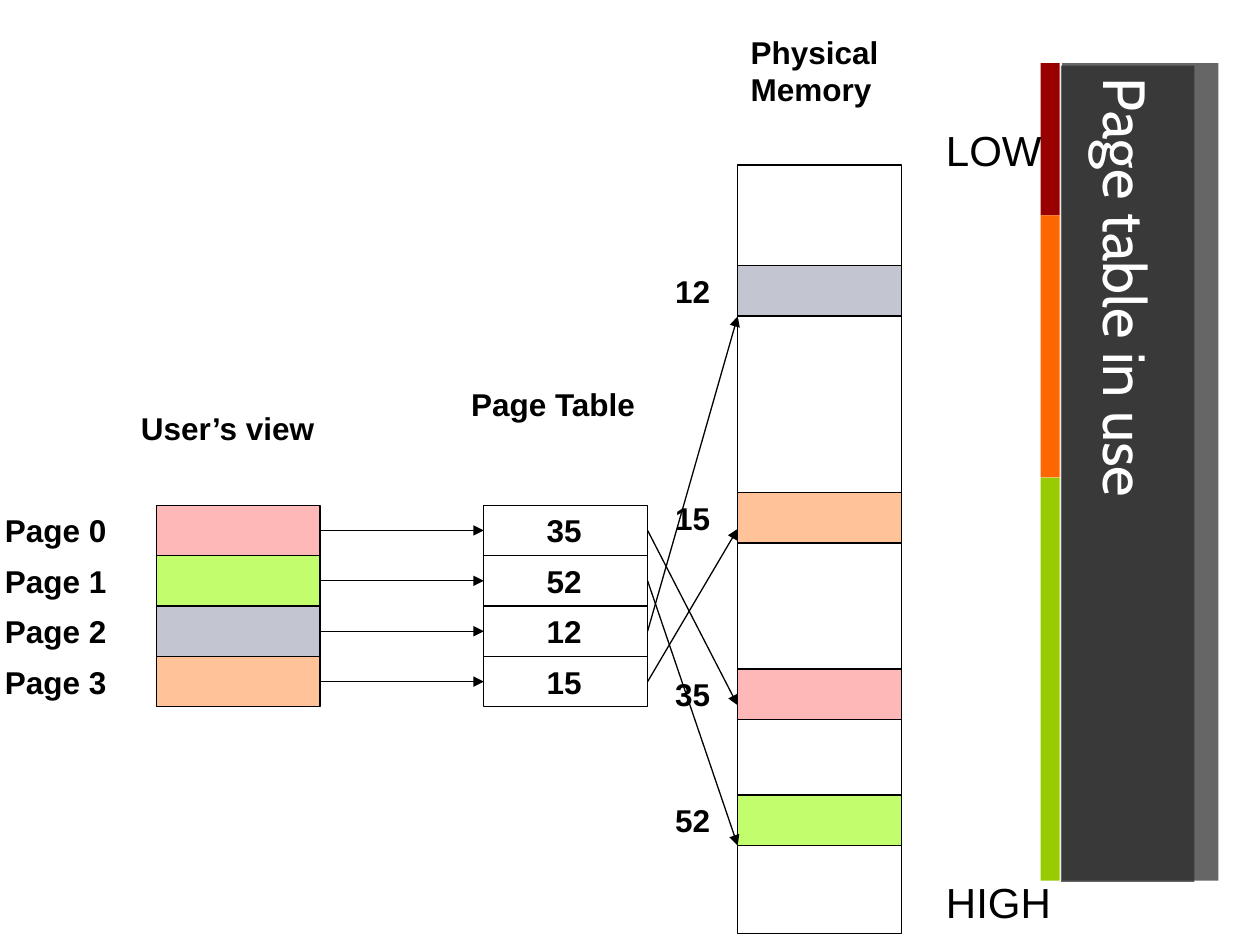
from dataclasses import dataclass
from typing import Optional

from lxml.etree import SubElement
from pptx import Presentation
from pptx.dml.color import RGBColor
from pptx.enum.shapes import MSO_CONNECTOR, MSO_SHAPE
from pptx.enum.text import MSO_ANCHOR
from pptx.oxml.ns import qn
from pptx.util import Inches, Pt

LEFT, TOP = 1.24, 1.31
COL, ROW = 1.3, 0.4
USER, TABLE, MEMORY = 0, 2, 3.55
FIRST_ROW, MEMORY_ROWS = 6.75, 15.25
BLACK, WHITE, DARK = "000000", "FFFFFF", "262626"


@dataclass
class Page:
    name: str
    frame: str
    color: str
    frame_row: float
    arrow_drop: float


@dataclass
class Label:
    text: str
    x: float
    y: float
    w: float
    h: float = ROW
    size: int = 18
    bold: bool = True


PAGES = [
    Page("Page 0", "35", "FFB8B8", 10, 0.72),
    Page("Page 1", "52", "C2FD6D", 12.5, 1),
    Page("Page 2", "12", "C3C5D1", 2, 1),
    Page("Page 3", "15", "FFC299", 6.5, 0.72),
]
LABELS = [
    Label("User’s view", 1.02, 3.2, 1.72),
    Label("Page Table", 3.64, 3.01, 1.52),
    Label("Physical\nMemory", 5.86, 0.21, 1.22, 0.7),
    Label("LOW", 7.41, 0.94, 0.96, 0.5, 24, False),
    Label("HIGH", 7.41, 6.91, 1.03, 0.5, 24, False),
]
STRIPES = [("990000", 1.21), ("FF6600", 2.08), ("99CC00", 3.2)]


def rgb(color: str) -> RGBColor:
    return RGBColor.from_string(color)


def grid_x(col: float) -> float:
    return LEFT + col * COL


def grid_y(row: float) -> float:
    return TOP + row * ROW


def add_box(s, x: float, y: float, w: float, h: float, fill: Optional[str] = None,
            line: Optional[str] = None, alpha: int = 100):
    sp = s.shapes.add_shape(MSO_SHAPE.RECTANGLE, *map(Inches, (x, y, w, h)))
    sp.shadow.inherit = False
    if fill:
        sp.fill.solid()
        sp.fill.fore_color.rgb = rgb(fill)
        if alpha < 100:
            clr = sp.fill._xPr.find(qn("a:solidFill"))[0]
            SubElement(clr, qn("a:alpha")).set("val", str(alpha * 1000))
    else:
        sp.fill.background()
    if line:
        sp.line.color.rgb = rgb(line)
        sp.line.width = Pt(0.75)
    else:
        sp.line.fill.background()
    return sp


def add_cell(s, col: float, row: float, rows: float = 1, fill: Optional[str] = None) -> None:
    add_box(s, grid_x(col), grid_y(row), COL, rows * ROW, fill, BLACK)


def set_text(tf, text: str, *, size: int, font: str = "Arial", color: str = BLACK,
             bold: bool = False) -> None:
    for i, part in enumerate(text.split("\n")):
        p = tf.add_paragraph() if i else tf.paragraphs[0]
        r = p.add_run()
        r.text = part
        r.font.name = font
        r.font.size = Pt(size)
        r.font.bold = bold
        r.font.color.rgb = rgb(color)


def add_label(s, label: Label) -> None:
    sp = s.shapes.add_textbox(*map(Inches, (label.x, label.y, label.w, label.h)))
    sp.text_frame.word_wrap = False
    set_text(sp.text_frame, label.text, size=label.size, bold=label.bold)


def add_arrow(s, col1: float, row1: float, col2: float, row2: float) -> None:
    ends = grid_x(col1), grid_y(row1), grid_x(col2), grid_y(row2)
    sp = s.shapes.add_connector(MSO_CONNECTOR.STRAIGHT, *map(Inches, ends))
    sp.line.color.rgb = rgb(BLACK)
    sp.line.width = Pt(0.75)
    SubElement(sp.line._get_or_add_ln(), qn("a:tailEnd")).set("type", "triangle")
    SubElement(sp._element.spPr, qn("a:effectLst"))


def add_title(s, text: str) -> None:
    add_box(s, 8.43, 0.5, 1.24, 6.49, DARK, alpha=70)
    y = 0.5
    for color, h in STRIPES:
        add_box(s, 8.26, y, 0.15, h, color)
        y += h
    sp = s.shapes.add_textbox(*map(Inches, (8.42, 0.52, 1.06, 6.48)))
    sp.fill.solid()
    sp.fill.fore_color.rgb = rgb(DARK)
    clr = sp.fill._xPr.find(qn("a:solidFill"))[0]
    SubElement(clr, qn("a:alpha")).set("val", "70000")
    tf = sp.text_frame
    tf.word_wrap = True
    tf.vertical_anchor = MSO_ANCHOR.MIDDLE
    tf._txBody.bodyPr.set("vert", "eaVert")
    set_text(tf, text, size=34, font="Cabin", color=WHITE)


def add_page(s, page: Page, row: float) -> None:
    add_cell(s, USER, row, fill=page.color)
    add_cell(s, TABLE, row)
    add_cell(s, MEMORY, page.frame_row, fill=page.color)
    add_label(s, Label(page.name, -0.06, grid_y(row), 1.15))
    add_label(s, Label(page.frame, 4.24, grid_y(row), 0.48))
    add_label(s, Label(page.frame, 5.26, grid_y(page.frame_row), 0.62))
    middle = row + 0.5
    add_arrow(s, USER + 1, middle, TABLE, middle)
    add_arrow(s, TABLE + 1, middle, MEMORY, page.frame_row + page.arrow_drop)


def main() -> None:
    prs = Presentation()
    prs.slide_width, prs.slide_height = Inches(10), Inches(7.5)
    s = prs.slides.add_slide(prs.slide_layouts[6])
    add_title(s, "Page table in use")
    for i, page in enumerate(PAGES):
        add_page(s, page, FIRST_ROW + i)
    add_cell(s, MEMORY, 0, MEMORY_ROWS)
    for label in LABELS:
        add_label(s, label)
    prs.save("out.pptx")


if __name__ == "__main__":
    main()
